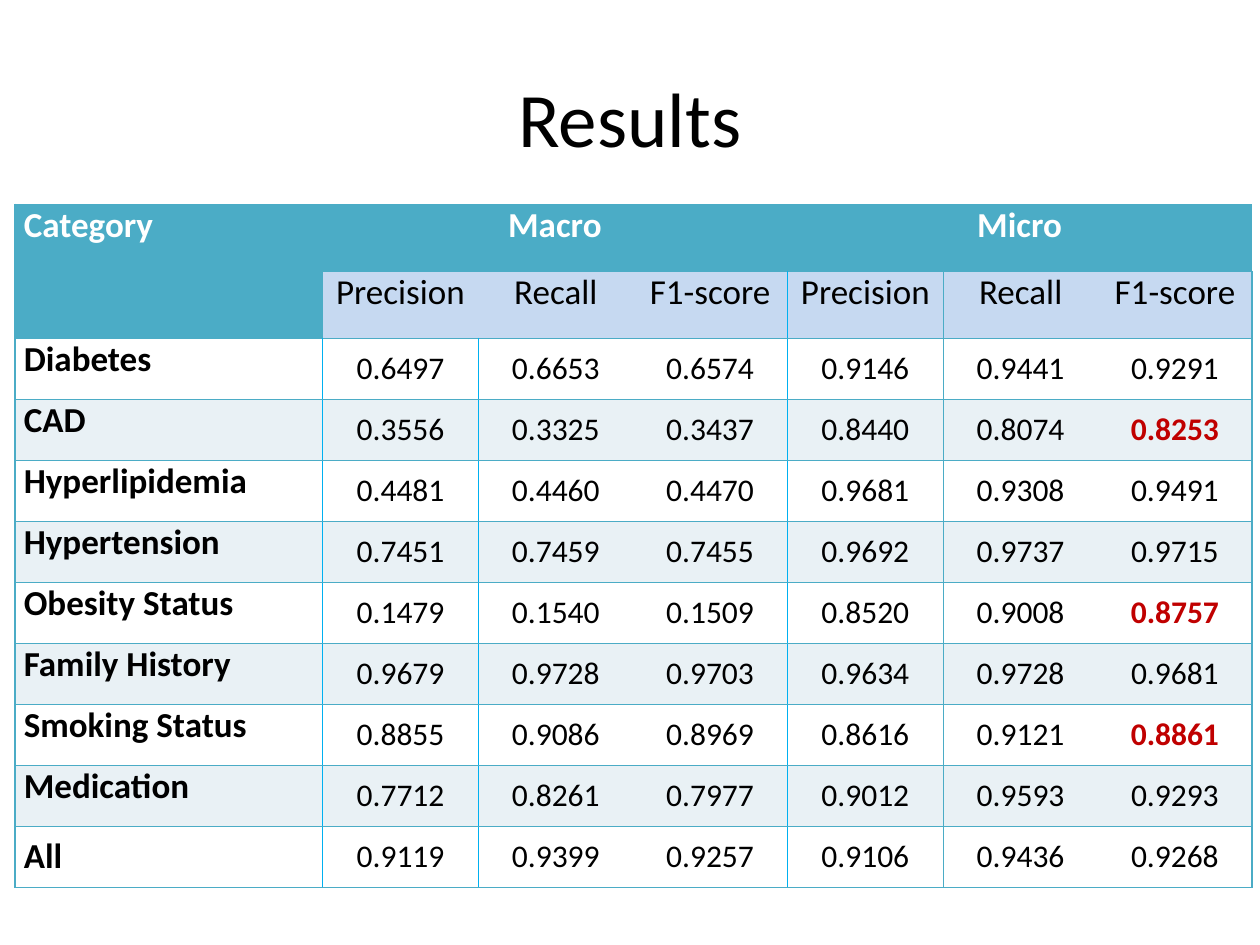
import pptx
import pptx.util
import pptx.dml.color
import pptx.enum.text
import pptx.oxml.ns
import lxml.etree

Cm, Pt = pptx.util.Cm, pptx.util.Pt
ALIGN = pptx.enum.text.PP_ALIGN
ANCHOR = pptx.enum.text.MSO_ANCHOR

COLORS = {
    "teal": "4BACC6", "sky": "00B0F0", "subhead": "C6D9F1",
    "band": "E9F1F5", "white": "FFFFFF", "black": "000000", "red": "C00000",
}
MEASURES = ["Precision", "Recall", "F1-score"]
SCORES = [
    ("Diabetes", "0.6497 0.6653 0.6574 0.9146 0.9441 0.9291"),
    ("CAD", "0.3556 0.3325 0.3437 0.8440 0.8074 0.8253"),
    ("Hyperlipidemia", "0.4481 0.4460 0.4470 0.9681 0.9308 0.9491"),
    ("Hypertension", "0.7451 0.7459 0.7455 0.9692 0.9737 0.9715"),
    ("Obesity Status", "0.1479 0.1540 0.1509 0.8520 0.9008 0.8757"),
    ("Family History", "0.9679 0.9728 0.9703 0.9634 0.9728 0.9681"),
    ("Smoking Status", "0.8855 0.9086 0.8969 0.8616 0.9121 0.8861"),
    ("Medication", "0.7712 0.8261 0.7977 0.9012 0.9593 0.9293"),
    ("All", "0.9119 0.9399 0.9257 0.9106 0.9436 0.9268"),
]
HIGHLIGHTED = {"CAD", "Obesity Status", "Smoking Status"}
COL_SHARES = [6.2, 3.15, 3.11, 3.11, 3.15, 3.11, 3.11]
ROW_SHARES = [1.35] * 2 + [1.23] * len(SCORES)


def rgb(name):
    return pptx.dml.color.RGBColor.from_string(COLORS[name])


def write(tf, text, size=20, bold=False, color="black", align=ALIGN.CENTER, after=0):
    p = tf.paragraphs[0]
    p.alignment, p.space_after = align, Pt(after)
    r = p.add_run()
    r.text = text
    r.font.name, r.font.size, r.font.bold = "Calibri", Pt(size), bold
    r.font.color.rgb = rgb(color)


def set_border(cell, side, line):
    """Draw one side (L, R, T or B) as (colour, points), or clear it for None."""
    qn = pptx.oxml.ns.qn
    color, width = line or (None, 0)
    ln = lxml.etree.SubElement(cell._tc.get_or_add_tcPr(), qn(f"a:ln{side}"), w=str(int(Pt(width))))
    if color:
        fill = lxml.etree.SubElement(ln, qn("a:solidFill"))
        lxml.etree.SubElement(fill, qn("a:srgbClr"), val=COLORS[color])
    else:
        lxml.etree.SubElement(ln, qn("a:noFill"))


def vertical_line(row, edge):
    """Return the line at a column edge, counted from the table's left side."""
    if edge in (0, len(COL_SHARES)):
        return "teal", 1
    if row == 0:
        return None
    if edge == 1:
        return ("sky" if row > 1 else "teal"), 1
    if edge == 4:
        return "sky", 1
    if edge == 5:
        return "teal", 0.5
    return ("sky", 0.5) if edge == 2 and row > 1 else None


def fill_name(row, col):
    if row == 0 or (row == 1 and col == 0):
        return "teal"
    if row == 1:
        return "subhead"
    return "band" if row % 2 else "white"


def format_cell(cell, row, col):
    cell.margin_left = cell.margin_right = Cm(0.18)
    cell.margin_top = cell.margin_bottom = 0
    set_border(cell, "L", vertical_line(row, col))
    set_border(cell, "R", vertical_line(row, col + 1))
    for side in "TB":
        set_border(cell, side, ("teal", 1))
    cell.fill.solid()
    cell.fill.fore_color.rgb = rgb(fill_name(row, col))


def title(s, text, x, y, w, h):
    sp = s.shapes.title
    sp.left, sp.top, sp.width, sp.height = Cm(x), Cm(y), Cm(w), Cm(h)
    sp.text_frame.vertical_anchor = ANCHOR.MIDDLE
    write(sp.text_frame, text, size=44)


def score_table(s, x, y, w, h):
    n_rows, n_cols = len(ROW_SHARES), len(COL_SHARES)
    table = s.shapes.add_table(n_rows, n_cols, Cm(x), Cm(y), Cm(w), Cm(h)).table
    table.first_row = table.horz_banding = False
    for column, share in zip(table.columns, COL_SHARES):
        column.width = Cm(w * share / sum(COL_SHARES))
    for row, share in zip(table.rows, ROW_SHARES):
        row.height = Cm(h * share / sum(ROW_SHARES))
    for i in range(n_rows):
        for j in range(n_cols):
            format_cell(table.cell(i, j), i, j)

    table.cell(0, 0).merge(table.cell(1, 0))
    write(table.cell(0, 0).text_frame, "Category", bold=True, color="white",
          align=ALIGN.JUSTIFY, after=6)
    for col, group in ((1, "Macro"), (4, "Micro")):
        table.cell(0, col).merge(table.cell(0, col + 2))
        write(table.cell(0, col).text_frame, group, bold=True, color="white", after=6)
        for j, measure in enumerate(MEASURES, col):
            write(table.cell(1, j).text_frame, measure, after=6)

    for i, (category, values) in enumerate(SCORES, 2):
        cell = table.cell(i, 0)
        if category == "All":
            cell.vertical_anchor = ANCHOR.MIDDLE
        write(cell.text_frame, category, bold=True, align=ALIGN.JUSTIFY, after=6)
        for j, value in enumerate(values.split(), 1):
            marked = category in HIGHLIGHTED and j == n_cols - 1
            cell = table.cell(i, j)
            cell.vertical_anchor = ANCHOR.MIDDLE
            write(cell.text_frame, value, size=18, bold=marked,
                  color="red" if marked else "black", after=6)


def main():
    prs = pptx.Presentation()
    prs.slide_width, prs.slide_height = Cm(25.4), Cm(19.05)
    s = prs.slides.add_slide(prs.slide_layouts[5])
    title(s, "Results", 1.27, 0.76, 22.86, 3.18)
    score_table(s, 0.3, 4.12, 24.94, 13.78)
    prs.save("out.pptx")


if __name__ == "__main__":
    main()
